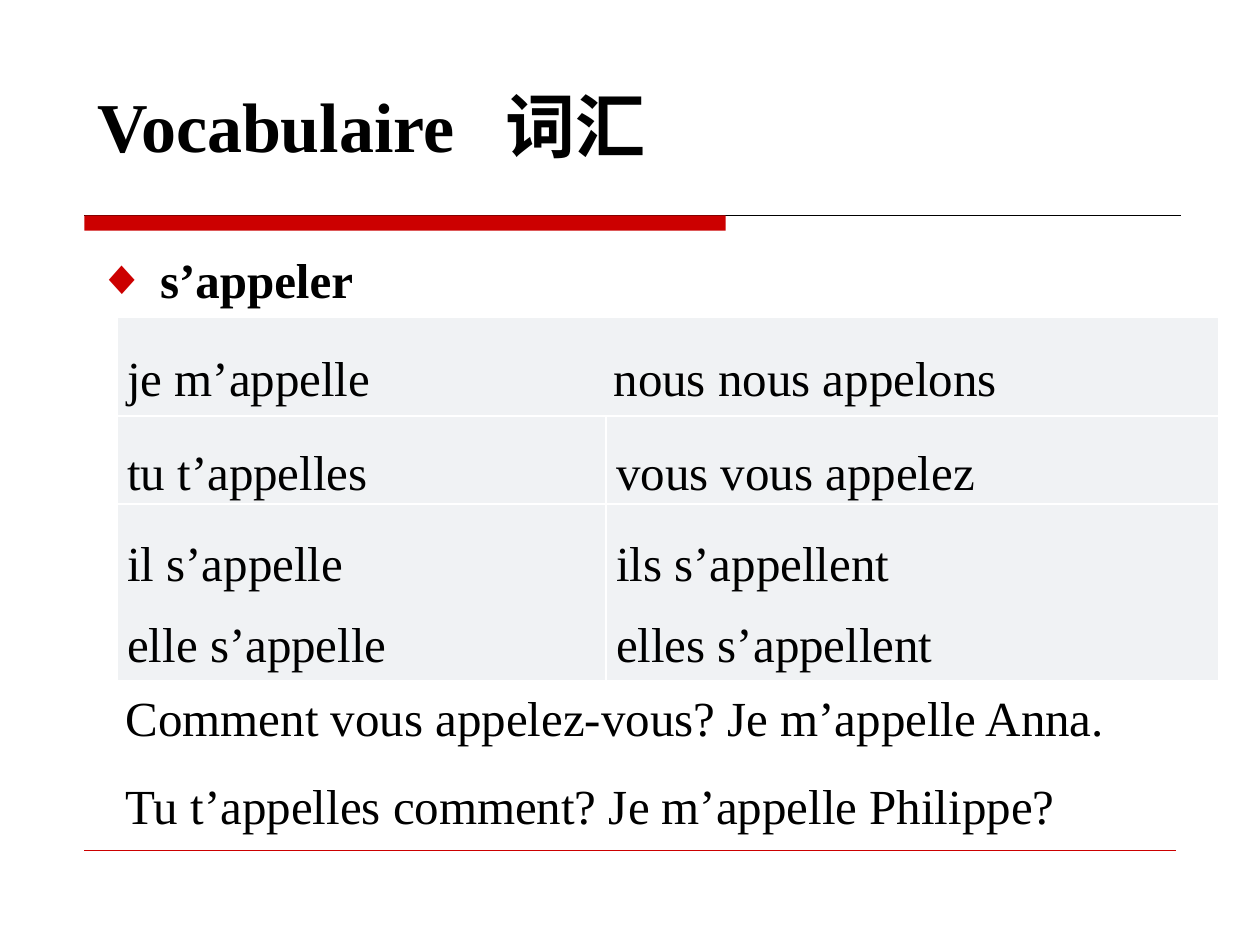
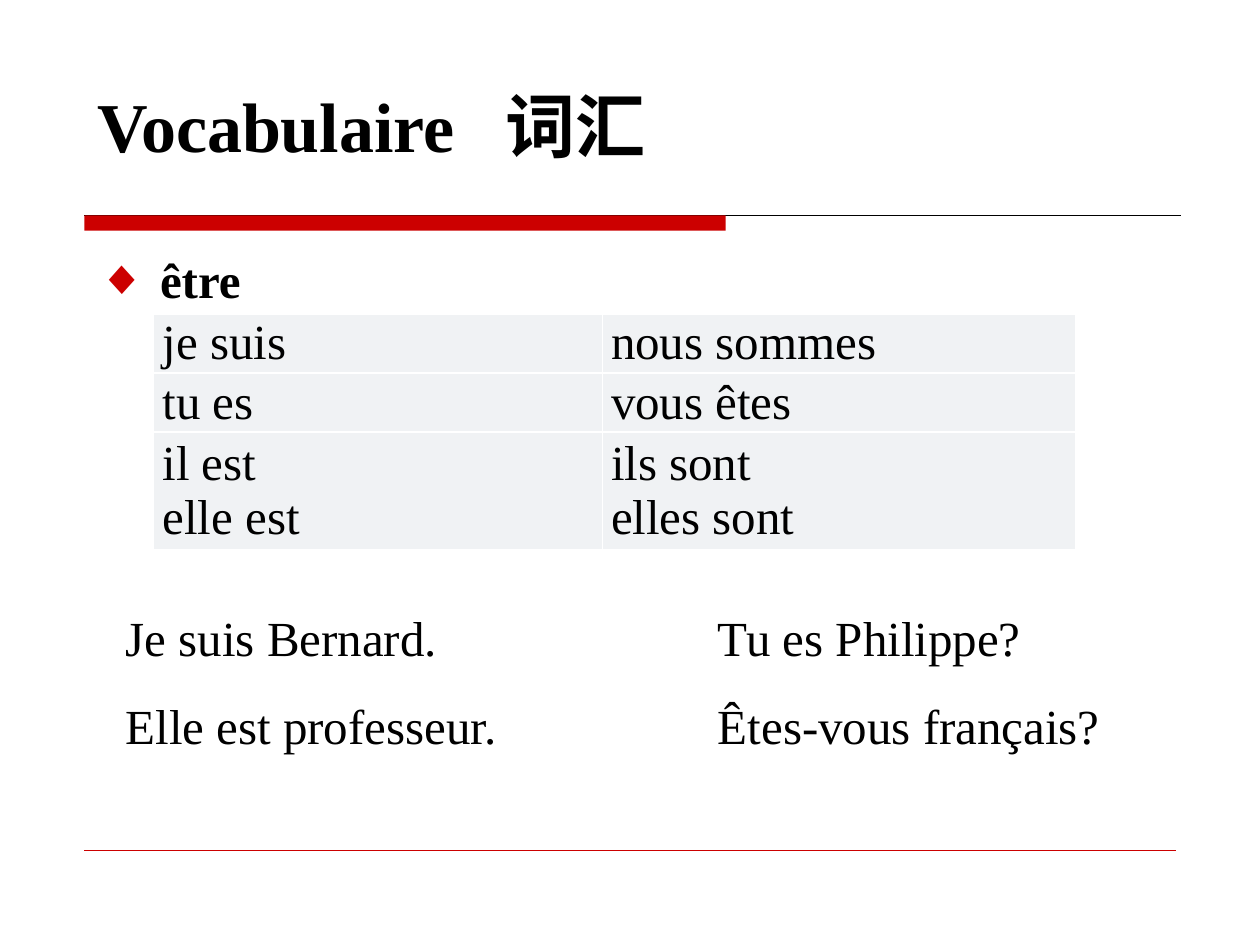
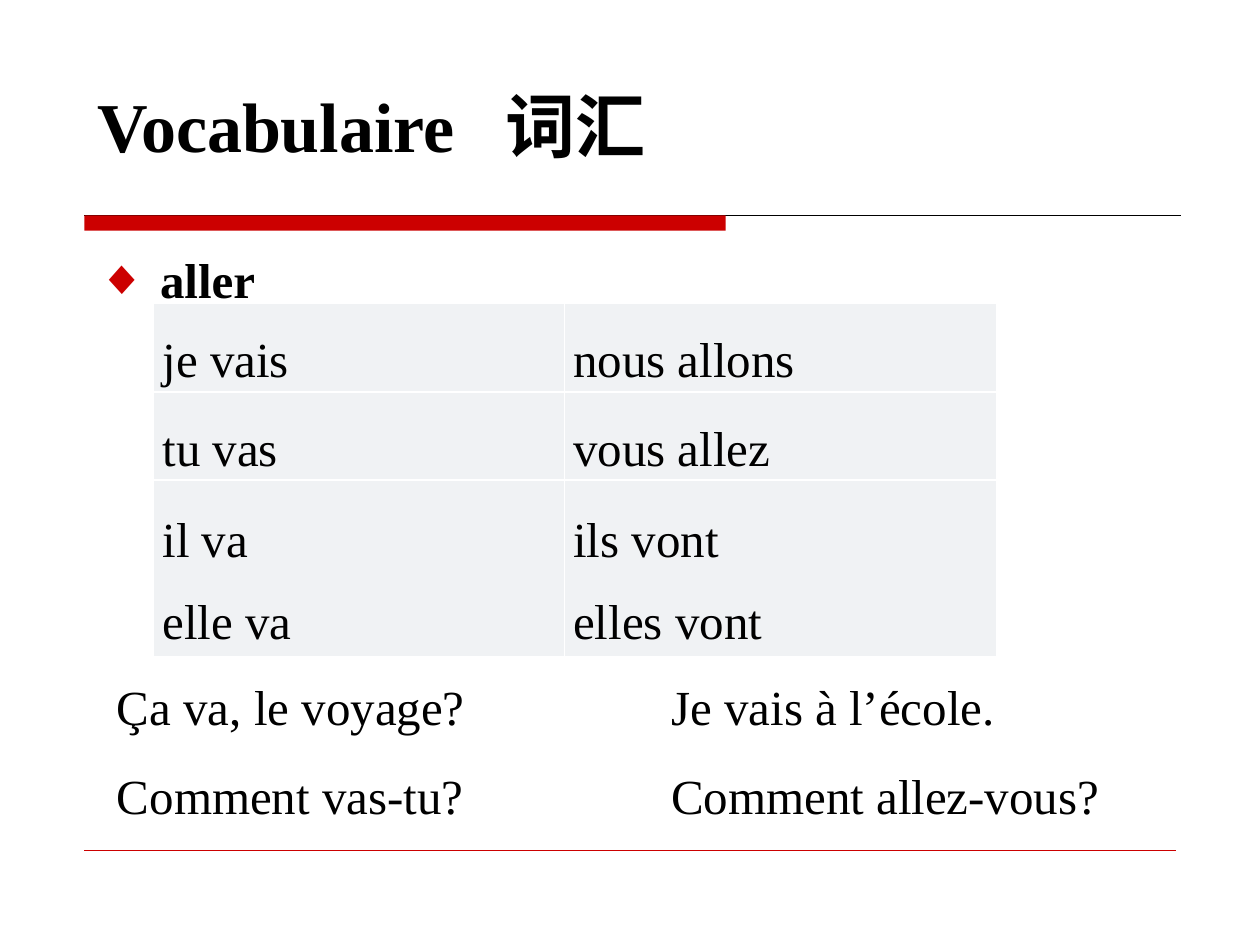
from lxml.etree import SubElement
from pptx import Presentation
from pptx.dml.color import RGBColor
from pptx.enum.shapes import MSO_CONNECTOR, MSO_SHAPE
from pptx.enum.text import MSO_ANCHOR, MSO_AUTO_SIZE, PP_ALIGN
from pptx.oxml import parse_xml
from pptx.oxml.ns import nsdecls, qn
from pptx.util import Inches, Pt

# Shared look
FONT = "Times New Roman"
BLACK, RED, WHITE, CELL_GREY = "000000", "CC0000", "FFFFFF", "F0F2F4"
TITLE = "Vocabulaire\t词汇"
TITLE_TAB = 3.24
TITLE_SIZE, TEXT_SIZE = 40, 28
LEFT = 0.67

# One entry per verb; a table row with a single text spans both columns
VERBS = [
    {
        "verb": "s’appeler",
        "table_at": (0.93, 2.52), "columns": (3.88, 4.86), "heights": (0.78, 0.7, 1.4),
        "inset": 0.08, "spacing": 1.5, "table_tab": 3.86,
        "forms": [["je m’appelle\tnous nous appelons"],
                  ["tu t’appelles", "vous vous appelez"],
                  ["il s’appelle\nelle s’appelle", "ils s’appellent\nelles s’appellent"]],
        "examples_at": (0.9, 5.17, 8.19, 1.43), "examples_tab": None,
        "examples": "Comment vous appelez-vous? Je m’appelle Anna.\n"
                    "Tu t’appelles comment? Je m’appelle Philippe?",
    },
    {
        "verb": "être",
        "table_at": (1.22, 2.49), "columns": (3.56, 3.76), "heights": (0.47, 0.47, 0.93),
        "inset": 0.07, "spacing": 1, "table_tab": None,
        "forms": [["je suis", "nous sommes"],
                  ["tu es", "vous êtes"],
                  ["il est\nelle est", "ils sont\nelles sont"]],
        "examples_at": (0.9, 4.54, 8.27, 1.51), "examples_tab": 4.7,
        "examples": "Je suis Bernard.\tTu es Philippe?\n"
                    "Elle est professeur.\tÊtes-vous français?",
    },
    {
        "verb": "aller",
        "table_at": (1.22, 2.41), "columns": (3.26, 3.43), "heights": (0.7, 0.7, 1.4),
        "inset": 0.07, "spacing": 1.5, "table_tab": None,
        "forms": [["je vais", "nous allons"],
                  ["tu vas", "vous allez"],
                  ["il va\nelle va", "ils vont\nelles vont"]],
        "examples_at": (0.83, 5.09, 8.27, 1.52), "examples_tab": 4.4,
        "examples": "Ça va, le voyage?\tJe vais à l’école.\n"
                    "Comment vas-tu?\tComment allez-vous?",
    },
]


def color(hex_string):
    return RGBColor.from_string(hex_string)


def place(shape, left, top, width, height):
    shape.left, shape.top = Inches(left), Inches(top)
    shape.width, shape.height = Inches(width), Inches(height)


def add_tab_stop(paragraph, position):
    tab_list = SubElement(paragraph._p.get_or_add_pPr(), qn("a:tabLst"))
    SubElement(tab_list, qn("a:tab"), pos=str(Inches(position)), algn="l")


def add_bullet(paragraph):
    properties = paragraph._p.get_or_add_pPr()
    properties.set("marL", str(Inches(0.5)))
    properties.set("indent", str(-Inches(0.5)))
    bullet_color = SubElement(properties, qn("a:buClr"))
    SubElement(bullet_color, qn("a:srgbClr"), val=RED)
    SubElement(properties, qn("a:buChar"), char="◆")


def format_text(text_frame, size=TEXT_SIZE, bold=False, spacing=1.0, tab=None, align=PP_ALIGN.LEFT):
    for paragraph in text_frame.paragraphs:
        if tab:
            add_tab_stop(paragraph, tab)
        paragraph.alignment = align
        paragraph.line_spacing = spacing
        paragraph.space_before = Pt(0)
        for run in paragraph.runs:
            run.font.name = FONT
            run.font.size = Pt(size)
            run.font.bold = bold
            run.font.color.rgb = color(BLACK)


def add_rule(slide, start, end, y, line_color, width):
    rule = slide.shapes.add_connector(
        MSO_CONNECTOR.STRAIGHT, Inches(start), Inches(y), Inches(end), Inches(y))
    rule.line.color.rgb = color(line_color)
    rule.line.width = Pt(width)
    SubElement(rule._element.spPr, qn("a:effectLst"))


def add_frame(slide):
    """Red band under the title and the two thin rules."""
    add_rule(slide, LEFT, 9.37, 1.71, BLACK, 0.75)
    band = slide.shapes.add_shape(
        MSO_SHAPE.RECTANGLE, Inches(LEFT), Inches(1.71), Inches(5.09), Inches(0.12))
    band.shadow.inherit = False
    band.fill.solid()
    band.fill.fore_color.rgb = color(RED)
    band.line.fill.background()
    add_rule(slide, LEFT, 9.33, 6.75, RED, 0.25)


def fill_title(slide):
    title = slide.shapes.title
    place(title, LEFT, 0.6, 7.8, 0.77)
    text_frame = title.text_frame
    text_frame.text = TITLE
    text_frame.auto_size = MSO_AUTO_SIZE.NONE
    text_frame.vertical_anchor = MSO_ANCHOR.MIDDLE
    format_text(text_frame, TITLE_SIZE, bold=True, tab=TITLE_TAB)


def fill_verb(slide, verb):
    body = slide.placeholders[1]
    place(body, LEFT, 1.7, 8.35, 0.72)
    text_frame = body.text_frame
    text_frame.text = verb
    text_frame.auto_size = MSO_AUTO_SIZE.NONE
    add_bullet(text_frame.paragraphs[0])
    format_text(text_frame, bold=True, spacing=1.5)


def add_borders(cell):
    properties = cell._tc.get_or_add_tcPr()
    for index, side in enumerate(("lnL", "lnR", "lnT", "lnB")):
        properties.insert(index, parse_xml(
            f'<a:{side} {nsdecls("a")} w="{Pt(1)}"><a:solidFill>'
            f'<a:srgbClr val="{WHITE}"/></a:solidFill></a:{side}>'))


def style_cell(cell, inset):
    cell.fill.solid()
    cell.fill.fore_color.rgb = color(CELL_GREY)
    cell.vertical_anchor = MSO_ANCHOR.MIDDLE
    cell.margin_left = cell.margin_right = Inches(inset)
    cell.margin_top = cell.margin_bottom = 0
    add_borders(cell)


def add_conjugation(slide, entry):
    left, top = entry["table_at"]
    columns, heights = entry["columns"], entry["heights"]
    table = slide.shapes.add_table(
        len(heights), len(columns), Inches(left), Inches(top),
        Inches(sum(columns)), Inches(sum(heights))).table
    table.first_row = table.horz_banding = False
    for column, width in zip(table.columns, columns):
        column.width = Inches(width)
    for row, height in zip(table.rows, heights):
        row.height = Inches(height)
    for cell in table.iter_cells():
        style_cell(cell, entry["inset"])
    for row_index, texts in enumerate(entry["forms"]):
        if len(texts) == 1:
            table.cell(row_index, 0).merge(table.cell(row_index, len(columns) - 1))
        for column_index, text in enumerate(texts):
            text_frame = table.cell(row_index, column_index).text_frame
            text_frame.text = text
            tab = entry["table_tab"] if "\t" in text else None
            format_text(text_frame, spacing=entry["spacing"], tab=tab, align=PP_ALIGN.JUSTIFY)


def add_examples(slide, entry):
    box = slide.shapes.add_textbox(*map(Inches, entry["examples_at"]))
    text_frame = box.text_frame
    text_frame.word_wrap = True
    text_frame.auto_size = MSO_AUTO_SIZE.SHAPE_TO_FIT_TEXT
    text_frame.text = entry["examples"]
    format_text(text_frame, spacing=1.5, tab=entry["examples_tab"])


def main():
    presentation = Presentation()
    presentation.slide_width, presentation.slide_height = Inches(10), Inches(7.5)
    for entry in VERBS:
        slide = presentation.slides.add_slide(presentation.slide_layouts[1])
        add_frame(slide)
        fill_title(slide)
        fill_verb(slide, entry["verb"])
        add_conjugation(slide, entry)
        add_examples(slide, entry)
    presentation.save("out.pptx")


if __name__ == "__main__":
    main()
